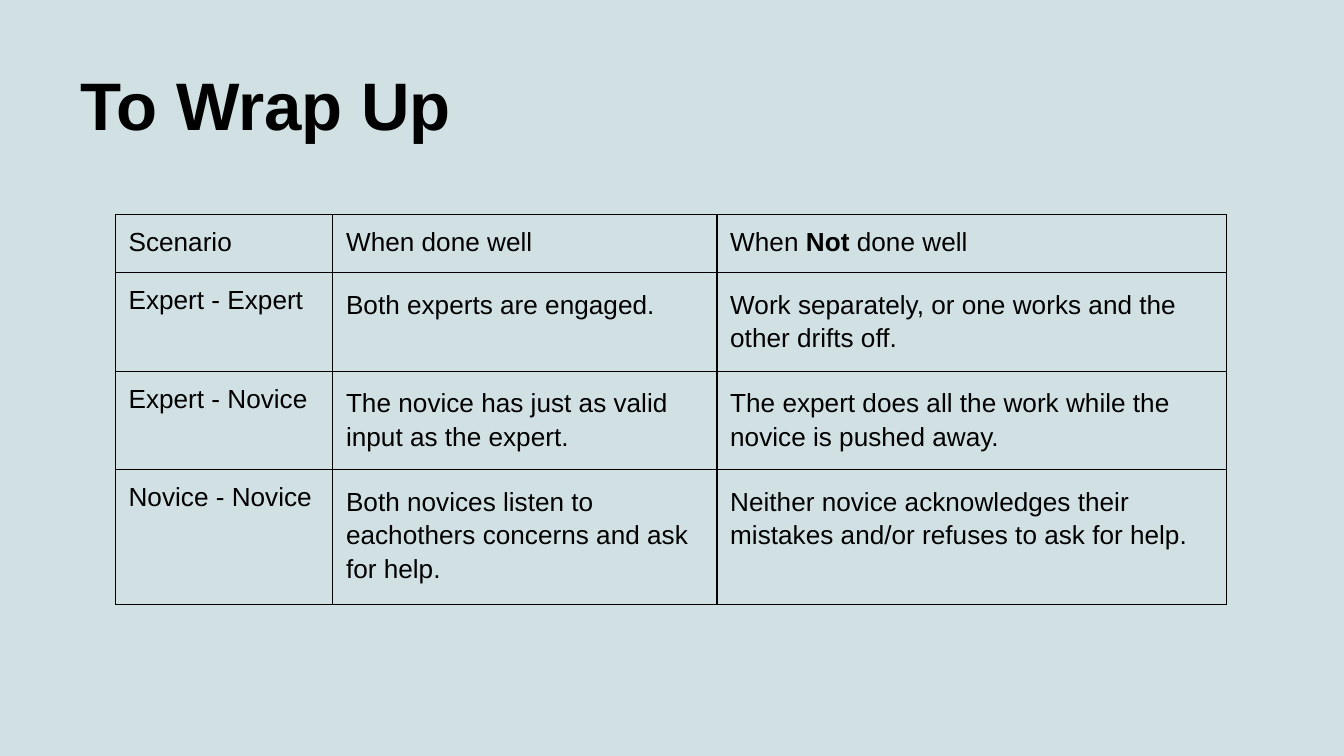
from lxml.etree import SubElement as Sub
from pptx import Presentation as Deck
from pptx.dml.color import RGBColor as Rgb
from pptx.enum.text import MSO_VERTICAL_ANCHOR as Anchor
from pptx.oxml.ns import qn
from pptx.util import Cm, Pt

COLORS = {"back": "D0E0E3", "ink": "000000"}
FONT = "Arial"
PAD = Cm(0.25)
COLS = [4.11, 7.26, 9.63]
ROW = 1.07
ROWS = [
    ["Scenario", "When done well", "When *Not *done well"],
    ["Expert - Expert", "Both experts are engaged.",
     "Work separately, or one works and the other drifts off."],
    ["Expert - Novice", "The novice has just as valid input as the expert.",
     "The expert does all the work while the novice is pushed away."],
    ["Novice - Novice",
     "Both novices listen to eachothers concerns and ask for help.",
     "Neither novice acknowledges their mistakes and/or refuses to ask for help."],
]


def add_run(para, text, size, bold=False):
    run = para.add_run()
    run.text = text
    font = run.font
    font.name, font.size, font.bold = FONT, Pt(size), bold
    font.color.rgb = Rgb.from_string(COLORS["ink"])


def pad(area):
    area.margin_left = area.margin_right = PAD
    area.margin_top = area.margin_bottom = PAD


def add_title(slide, text):
    box = slide.shapes.add_textbox(Cm(1.27), Cm(0.58), Cm(22.86), Cm(2.39))
    frame = box.text_frame
    frame.word_wrap = True
    frame.vertical_anchor = Anchor.BOTTOM
    pad(frame)
    add_run(frame.paragraphs[0], text, 36, True)


def set_edges(cell):
    props = cell._tc.get_or_add_tcPr()
    for side in ("L", "R", "T", "B"):
        line = Sub(props, qn(f"a:ln{side}"), w=str(Pt(0.75)))
        fill = Sub(line, qn("a:solidFill"))
        Sub(fill, qn("a:srgbClr"), val=COLORS["ink"])


def fill_cell(cell, text, spaced):
    pad(cell)
    set_edges(cell)
    cell.fill.background()
    para = cell.text_frame.paragraphs[0]
    if spaced:
        para.line_spacing = 1.15
    for i, part in enumerate(text.split("*")):
        add_run(para, part, 14, i % 2 == 1)


def add_grid(slide):
    frame = slide.shapes.add_table(
        len(ROWS), len(COLS), Cm(2.18), Cm(4.06),
        Cm(sum(COLS)), Cm(ROW * len(ROWS)))
    table = frame.table
    table.first_row = table.horz_banding = False
    for col, width in zip(table.columns, COLS):
        col.width = Cm(width)
    for r, texts in enumerate(ROWS):
        table.rows[r].height = Cm(ROW)
        for c, text in enumerate(texts):
            fill_cell(table.cell(r, c), text, r > 0 and c > 0)


def main():
    deck = Deck()
    deck.slide_width, deck.slide_height = Cm(25.4), Cm(14.29)
    slide = deck.slides.add_slide(deck.slide_layouts[6])
    back = slide.background.fill
    back.solid()
    back.fore_color.rgb = Rgb.from_string(COLORS["back"])
    add_title(slide, "To Wrap Up")
    add_grid(slide)
    deck.save("out.pptx")


if __name__ == "__main__":
    main()
